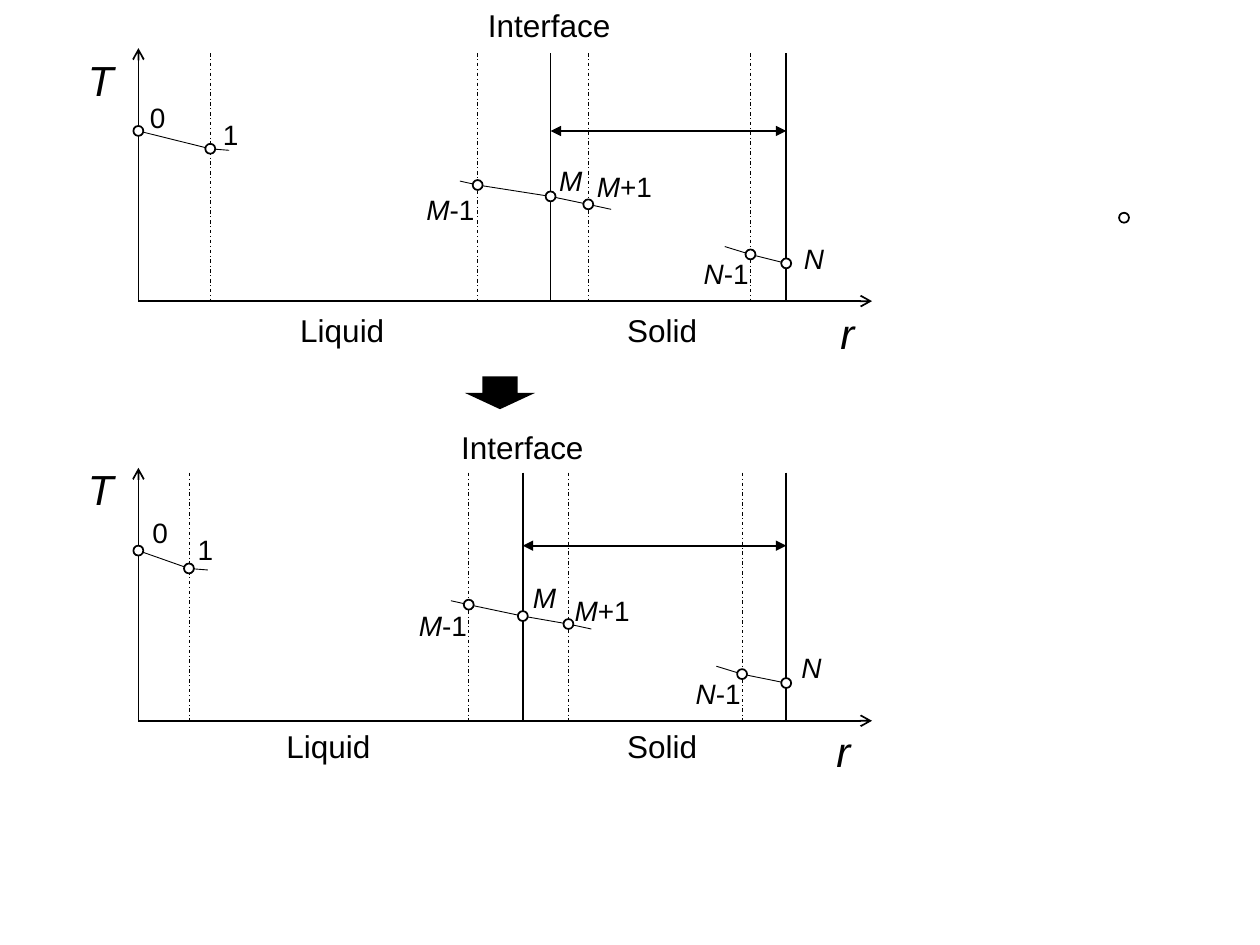
import pptx
import pptx.util
import pptx.dml.color
import pptx.enum.dml
import pptx.enum.shapes
import pptx.enum.text
import pptx.oxml.ns
import lxml.etree

Cm = pptx.util.Cm
Pt = pptx.util.Pt
SHAPE = pptx.enum.shapes.MSO_SHAPE
BLACK = pptx.dml.color.RGBColor(0x00, 0x00, 0x00)
WHITE = pptx.dml.color.RGBColor(0xFF, 0xFF, 0xFF)
FONT = "Arial"

NODE_SIZE = 0.2
AXIS_LEFT, AXIS_RIGHT = 2.79, 17.58
AXIS_TOP, LINE_TOP, BASE = 0.97, 1.07, 6.07
NODE_HEIGHTS = {"0": 2.64, "1": 3.0, "M-1": 3.73, "M": 3.96,
                "M+1": 4.12, "N-1": 5.13, "N": 5.31}
SEGMENTS = [("0", "1"), ("M-1", "M"), ("M", "M+1"), ("N-1", "N")]
STUBS = {"1": (0.38, 0.03), "M-1": (-0.36, -0.08),
         "M+1": (0.46, 0.1), "N-1": (-0.52, -0.16)}
SOLID_LINES = ["M", "N"]
DASHED_LINES = ["1", "M-1", "M+1", "N-1"]

LABELS = {
    "T": ("T", "", 24, 0.94), "r": ("r", "", 24, 1.12),
    "0": ("", "0", 16, 0.82), "1": ("", "1", 16, 0.82),
    "M-1": ("M", "-1", 16, 1.68), "M": ("M", "", 16, 0.97),
    "M+1": ("M", "+1", 16, 1.82), "N-1": ("N", "-1", 16, 1.6),
    "N": ("N", "", 16, 0.92), "Interface": ("", "Interface", 18, 3.08),
    "Solid": ("", "Solid", 18, 1.96), "Liquid": ("", "Liquid", 18, 2.28),
}
LABEL_HEIGHTS = {24: 1.27, 18: 1.02, 16: 0.94}

DIAGRAMS = [
    {
        "shift": 0,
        "span_height": 2.64,
        "nodes": {"0": 2.79, "1": 4.24, "M-1": 9.63, "M": 11.1,
                  "M+1": 11.86, "N-1": 15.13, "N": 15.85},
        "labels": {"T": (1.52, 0.97), "r": (16.69, 6.07), "0": (2.77, 1.91),
                   "1": (4.24, 2.24), "M-1": (8.24, 3.76), "M": (11.02, 3.18),
                   "M+1": (11.68, 3.3), "N-1": (13.84, 5.05), "N": (15.95, 4.75),
                   "Interface": (9.53, 0), "Solid": (12.37, 6.15),
                   "Liquid": (5.76, 6.15)},
    },
    {
        "shift": 8.46,
        "span_height": 2.54,
        "nodes": {"0": 2.79, "1": 3.81, "M-1": 9.45, "M": 10.54,
                  "M+1": 11.46, "N-1": 14.96, "N": 15.85},
        "labels": {"T": (1.52, 9.22), "r": (16.61, 14.5), "0": (2.82, 10.26),
                   "1": (3.73, 10.62), "M-1": (8.09, 12.14), "M": (10.49, 11.58),
                   "M+1": (11.23, 11.84), "N-1": (13.68, 13.51), "N": (15.9, 12.98),
                   "Interface": (8.99, 8.51), "Solid": (12.37, 14.53),
                   "Liquid": (5.48, 14.53)},
    },
]


def add_filled(slide, kind, left, top, width, height, fill, outlined=False):
    shape = slide.shapes.add_shape(kind, Cm(left), Cm(top), Cm(width), Cm(height))
    shape.shadow.inherit = False
    shape.fill.solid()
    shape.fill.fore_color.rgb = fill
    if outlined:
        shape.line.color.rgb = BLACK
        shape.line.width = Pt(1)
    else:
        shape.line.fill.background()


def add_node(slide, x, y):
    add_filled(slide, SHAPE.FLOWCHART_CONNECTOR, x - NODE_SIZE / 2,
               y - NODE_SIZE / 2, NODE_SIZE, NODE_SIZE, WHITE, True)


def add_line(slide, start, end, width=0.5, dashed=False, head=None, tail=None):
    connector = slide.shapes.add_connector(
        pptx.enum.shapes.MSO_CONNECTOR.STRAIGHT, *map(Cm, start + end))
    connector.line.color.rgb = BLACK
    connector.line.width = Pt(width)
    if dashed:
        connector.line.dash_style = pptx.enum.dml.MSO_LINE.DASH_DOT
    properties = connector._element.spPr
    line = properties.find(pptx.oxml.ns.qn("a:ln"))
    for tag, arrow in (("a:headEnd", head), ("a:tailEnd", tail)):
        if arrow:
            lxml.etree.SubElement(line, pptx.oxml.ns.qn(tag), type=arrow)
    lxml.etree.SubElement(properties, pptx.oxml.ns.qn("a:effectLst"))


def add_label(slide, name, left, top):
    italic, upright, size, width = LABELS[name]
    box = slide.shapes.add_textbox(Cm(left), Cm(top), Cm(width),
                                   Cm(LABEL_HEIGHTS[size]))
    box.text_frame.word_wrap = False
    box.text_frame.auto_size = pptx.enum.text.MSO_AUTO_SIZE.SHAPE_TO_FIT_TEXT
    paragraph = box.text_frame.paragraphs[0]
    if size < 24:
        paragraph.alignment = pptx.enum.text.PP_ALIGN.CENTER
    for text, slanted in ((italic, True), (upright, False)):
        if text:
            run = paragraph.add_run()
            run.text = text
            run.font.name = FONT
            run.font.size = Pt(size)
            run.font.italic = slanted
            run.font.color.rgb = BLACK


def add_diagram(slide, diagram):
    shift = diagram["shift"]
    points = {name: (x, NODE_HEIGHTS[name] + shift)
              for name, x in diagram["nodes"].items()}
    base = BASE + shift
    origin = (AXIS_LEFT, base)
    add_line(slide, origin, (AXIS_LEFT, AXIS_TOP + shift), 1, tail="arrow")
    add_line(slide, origin, (AXIS_RIGHT, base), 1, tail="arrow")
    for name in SOLID_LINES + DASHED_LINES:
        x = points[name][0]
        dashed = name in DASHED_LINES
        add_line(slide, (x, LINE_TOP + shift), (x, base),
                 0.5 if dashed else 1, dashed)
    for first, second in SEGMENTS:
        add_line(slide, points[first], points[second])
    for name, (across, down) in STUBS.items():
        x, y = points[name]
        add_line(slide, (x, y), (x + across, y + down))
    span_height = diagram["span_height"] + shift
    add_line(slide, (points["M"][0], span_height), (points["N"][0], span_height),
             1, head="triangle", tail="triangle")
    for x, y in points.values():
        add_node(slide, x, y)
    for name, (left, top) in diagram["labels"].items():
        add_label(slide, name, left, top)


def main():
    presentation = pptx.Presentation()
    presentation.slide_width = Cm(25.4)
    presentation.slide_height = Cm(19.05)
    slide = presentation.slides.add_slide(presentation.slide_layouts[6])
    add_filled(slide, SHAPE.RECTANGLE, 2.82, 0.97, 14.76, 5.1, WHITE)
    add_node(slide, 22.66, 4.39)
    add_filled(slide, SHAPE.DOWN_ARROW, 9.37, 7.59, 1.42, 0.66, BLACK)
    for diagram in DIAGRAMS:
        add_diagram(slide, diagram)
    presentation.save("out.pptx")


if __name__ == "__main__":
    main()
